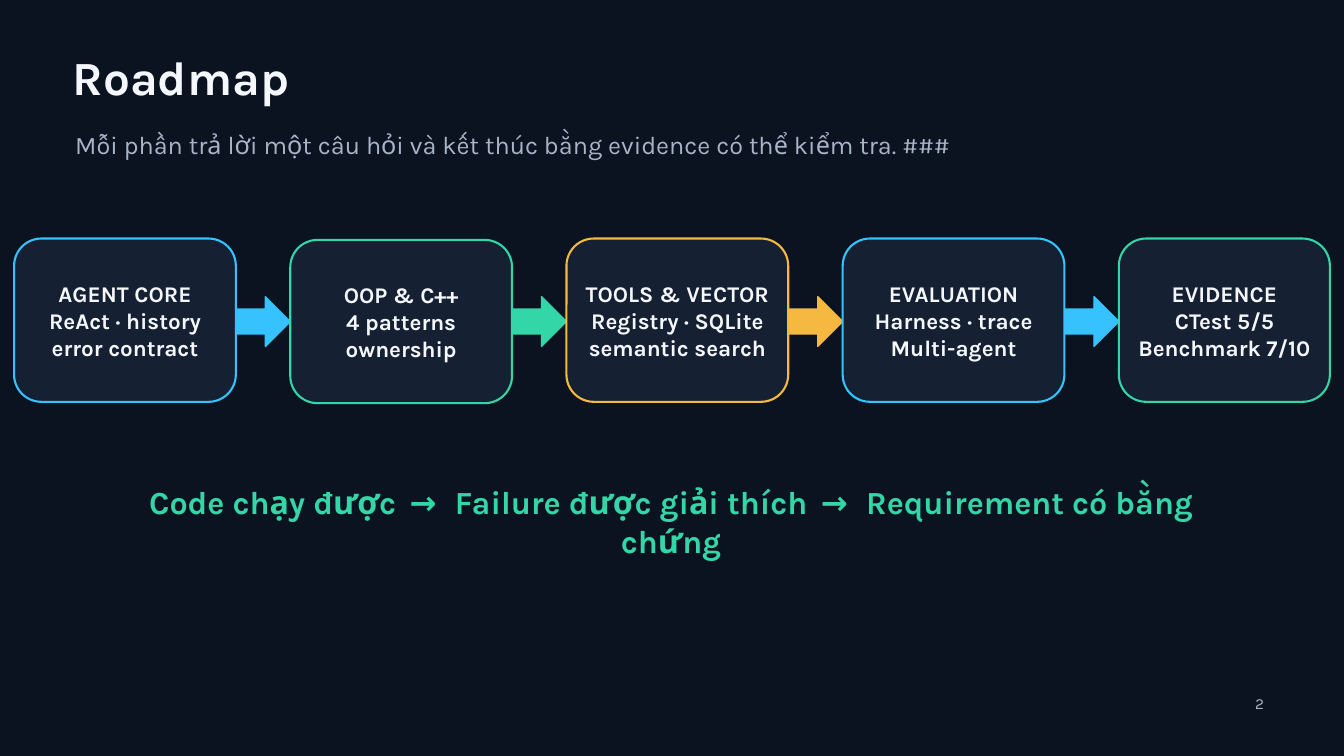
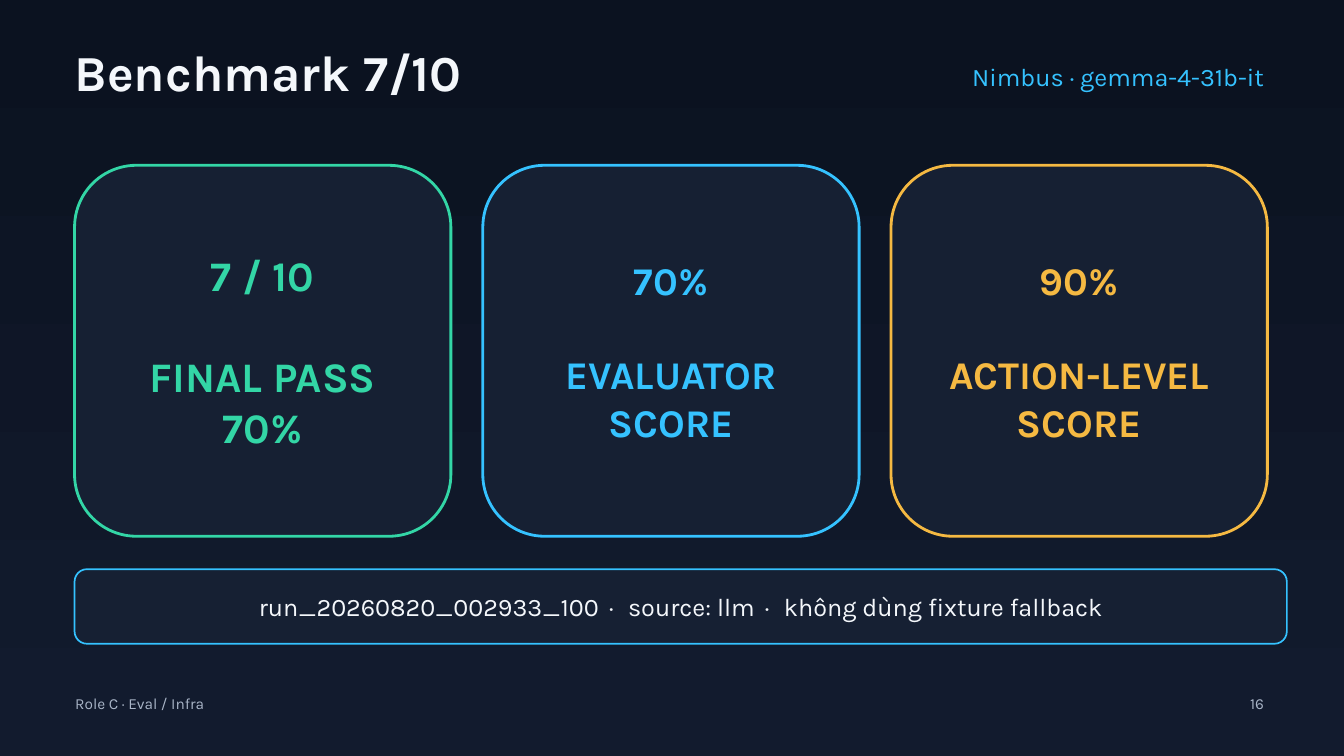
from pptx import Presentation
from pptx.dml.color import RGBColor
from pptx.enum.shapes import MSO_SHAPE as SHAPE
from pptx.enum.text import MSO_ANCHOR as ANCHOR, MSO_AUTO_SIZE as AUTO, PP_ALIGN as ALIGN
from pptx.util import Inches, Pt

W, H = 20, 11.25
FONT = "Karla"
NIGHT, DUSK, PANEL = "0B1220", "121B2E", "162033"
WHITE, GREY = "F4F7FB", "A9B5C7"
BLUE, GREEN, AMBER = "35C2FF", "33D6A6", "F5B942"
LEADING = 1.2
MARGIN = 1.11
RIGHT = 18.81
FOOT_TOP, FOOT_H = 10.33, 0.35

STAGES = [
    (["AGENT CORE", "ReAct · history", "error contract"], BLUE),
    (["OOP & C++", "4 patterns", "ownership"], GREEN),
    (["TOOLS & VECTOR", "Registry · SQLite", "semantic search"], AMBER),
    (["EVALUATION", "Harness · trace", "Multi-agent"], BLUE),
    (["EVIDENCE", "CTest 5/5", "Benchmark 7/10"], GREEN),
]
CLAIMS = ["Code chạy được", "Failure được giải thích", "Requirement có bằng chứng"]
SCORES = [
    (["7 / 10", "FINAL PASS", "70%"], GREEN, 45),
    (["70%", "EVALUATOR", "SCORE"], BLUE, 42),
    (["90%", "ACTION-LEVEL", "SCORE"], AMBER, 42),
]
RUN_FACTS = ["run_20260820_002933_100", "source: llm", "không dùng fixture fallback"]


def rgb(value):
    return RGBColor.from_string(value)


def format_run(r, size, color, bold=False):
    r.font.name = FONT
    r.font.size = Pt(size)
    r.font.bold = bold
    r.font.color.rgb = rgb(color)


def write(tf, lines, size, color, bold=False, align=ALIGN.LEFT, inset=0, anchor=ANCHOR.TOP):
    tf.text = "\n".join(lines)
    tf.word_wrap = True
    tf.auto_size = AUTO.NONE
    tf.vertical_anchor = anchor
    tf.margin_left = tf.margin_right = tf.margin_top = tf.margin_bottom = Inches(inset)
    for p in tf.paragraphs:
        p.alignment = align
        p.line_spacing = Pt(round(size * LEADING, 1))
        p.space_before = Pt(0)
        for r in p.runs:
            format_run(r, size, color, bold)


def add_text(s, box, text, size, color, **style):
    tf = s.shapes.add_textbox(*map(Inches, box)).text_frame
    write(tf, [text], size, color, **style)
    return tf


def join_spaced(p, parts, mark, spacing, size, color, bold=False):
    for i, part in enumerate(parts):
        if i:
            r = p.add_run()
            r.text = f" {mark} "
            format_run(r, size, color, bold)
            r.font._element.set("spc", str(spacing))
        r = p.add_run()
        r.text = part
        format_run(r, size, color, bold)


def add_shape(s, kind, box, fill, line, weight):
    sp = s.shapes.add_shape(kind, *map(Inches, box))
    sp.shadow.inherit = False
    sp.fill.solid()
    sp.fill.fore_color.rgb = rgb(fill)
    sp.line.color.rgb = rgb(line)
    sp.line.width = Pt(weight)
    return sp


def add_card(s, box, lines, line, weight, size, color, bold=True):
    sp = add_shape(s, SHAPE.ROUNDED_RECTANGLE, box, PANEL, line, weight)
    write(sp.text_frame, lines, size, color, bold, ALIGN.CENTER, 0.06, ANCHOR.MIDDLE)
    return sp.text_frame


def add_slide(prs, title, box, size, number):
    s = prs.slides.add_slide(prs.slide_layouts[5])
    sp = s.shapes.title
    sp.left, sp.top, sp.width, sp.height = map(Inches, box)
    write(sp.text_frame, [title], size, WHITE, bold=True)
    add_text(s, (RIGHT - 0.55, FOOT_TOP, 0.55, FOOT_H), str(number), 16.5, GREY, align=ALIGN.RIGHT)
    return s


def build_roadmap(prs):
    s = add_slide(prs, "Roadmap", (1.08, 0.72, 17.81, 0.85), 51, 2)
    add_text(s, (1.12, 1.93, 17.06, 0.45),
             "Mỗi phần trả lời một câu hỏi và kết thúc bằng evidence có thể kiểm tra. ###", 27, GREY)

    left, top, width, height, pitch = 0.21, 3.55, 3.3, 2.43, 4.11
    arrow_h = 0.74
    for i, (_, color) in enumerate(STAGES[:-1]):
        box = (left + i * pitch + width + 0.01, top + (height - arrow_h) / 2 + 0.02,
               pitch - width - 0.01, arrow_h)
        add_shape(s, SHAPE.RIGHT_ARROW, box, color, color, 1.5)
    for i, (lines, color) in enumerate(STAGES):
        x = left + i * pitch
        box = (x, top + (0.02 if i == 1 else 0), min(width, W - left - x), height)
        add_card(s, box, lines, color, 2.25, 24, WHITE)

    tf = add_text(s, (1.98, 7.18, 16.01, 0.57), "", 34.5, GREEN, align=ALIGN.CENTER)
    join_spaced(tf.paragraphs[0], CLAIMS, "→", 550, 34.5, GREEN, True)


def build_benchmark(prs):
    s = add_slide(prs, "Benchmark 7/10", (MARGIN, 0.61, 11.06, 0.9), 54, 16)
    fill = s.background.fill
    fill.gradient()
    fill.gradient_angle = 270
    for stop, position, color in zip(fill.gradient_stops, (0, 1), (NIGHT, DUSK)):
        stop.position = position
        stop.color.rgb = rgb(color)
    add_text(s, (12.48, 0.92, RIGHT - 12.48, 0.53), "Nimbus · gemma-4-31b-it", 27, BLUE,
             align=ALIGN.RIGHT)

    width, gap = 5.6, 0.475
    for i, (lines, color, size) in enumerate(SCORES):
        box = (MARGIN + i * (width + gap), 2.46, width, 5.52)
        tf = add_card(s, box, lines, color, 3, size, color)
        tf.paragraphs[1].space_before = Pt(round(size * LEADING, 1))

    tf = add_card(s, (MARGIN, 8.47, 18.04, 1.11), [""], BLUE, 1.8, 27, WHITE)
    join_spaced(tf.paragraphs[0], RUN_FACTS, "·", 450, 27, WHITE)
    add_text(s, (1.12, FOOT_TOP, 4.9, FOOT_H), "Role C · Eval / Infra", 16.5, GREY)


def main():
    prs = Presentation()
    prs.slide_width, prs.slide_height = Inches(W), Inches(H)
    fill = prs.slide_master.background.fill
    fill.solid()
    fill.fore_color.rgb = rgb(NIGHT)
    build_roadmap(prs)
    build_benchmark(prs)
    prs.save("out.pptx")


if __name__ == "__main__":
    main()
